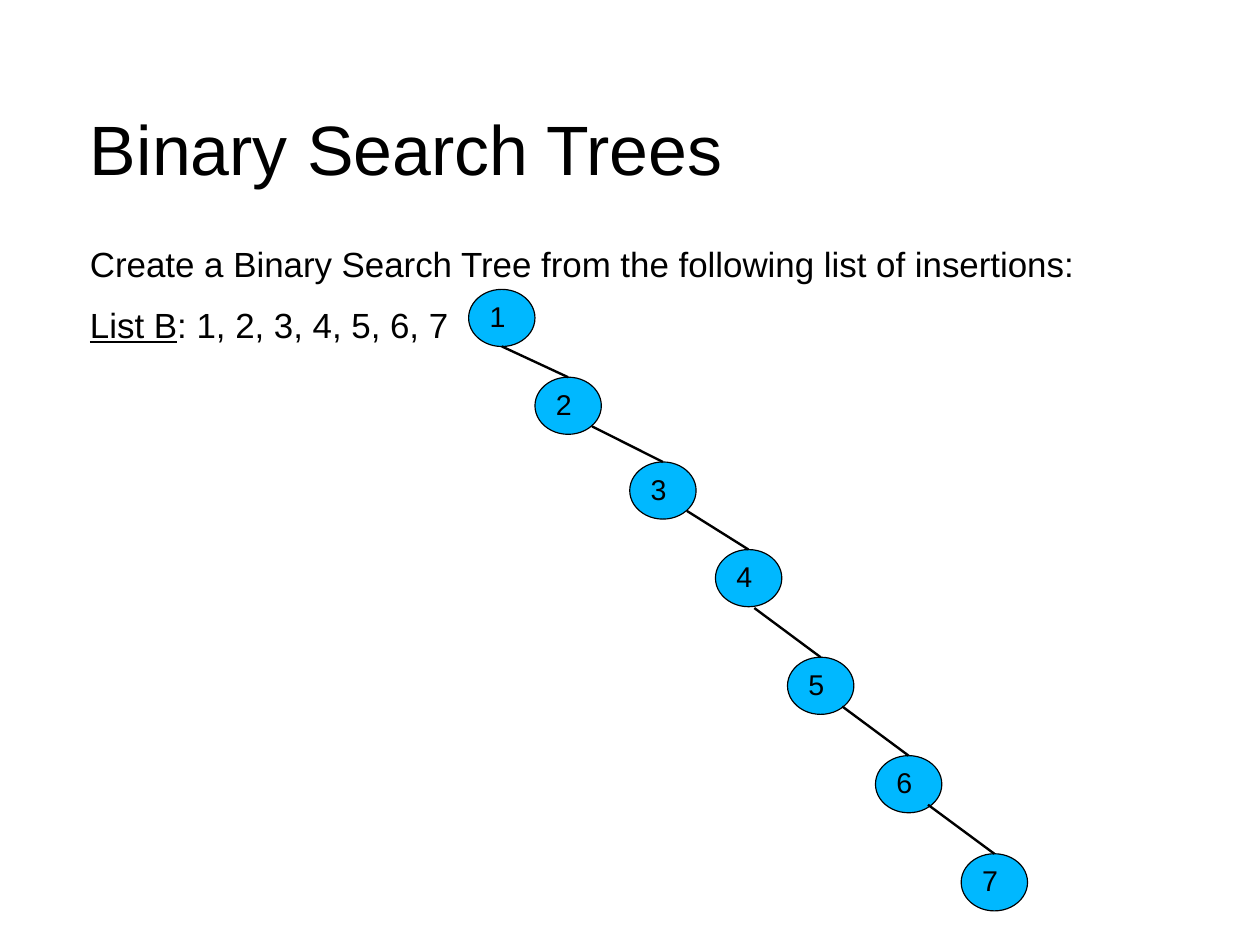
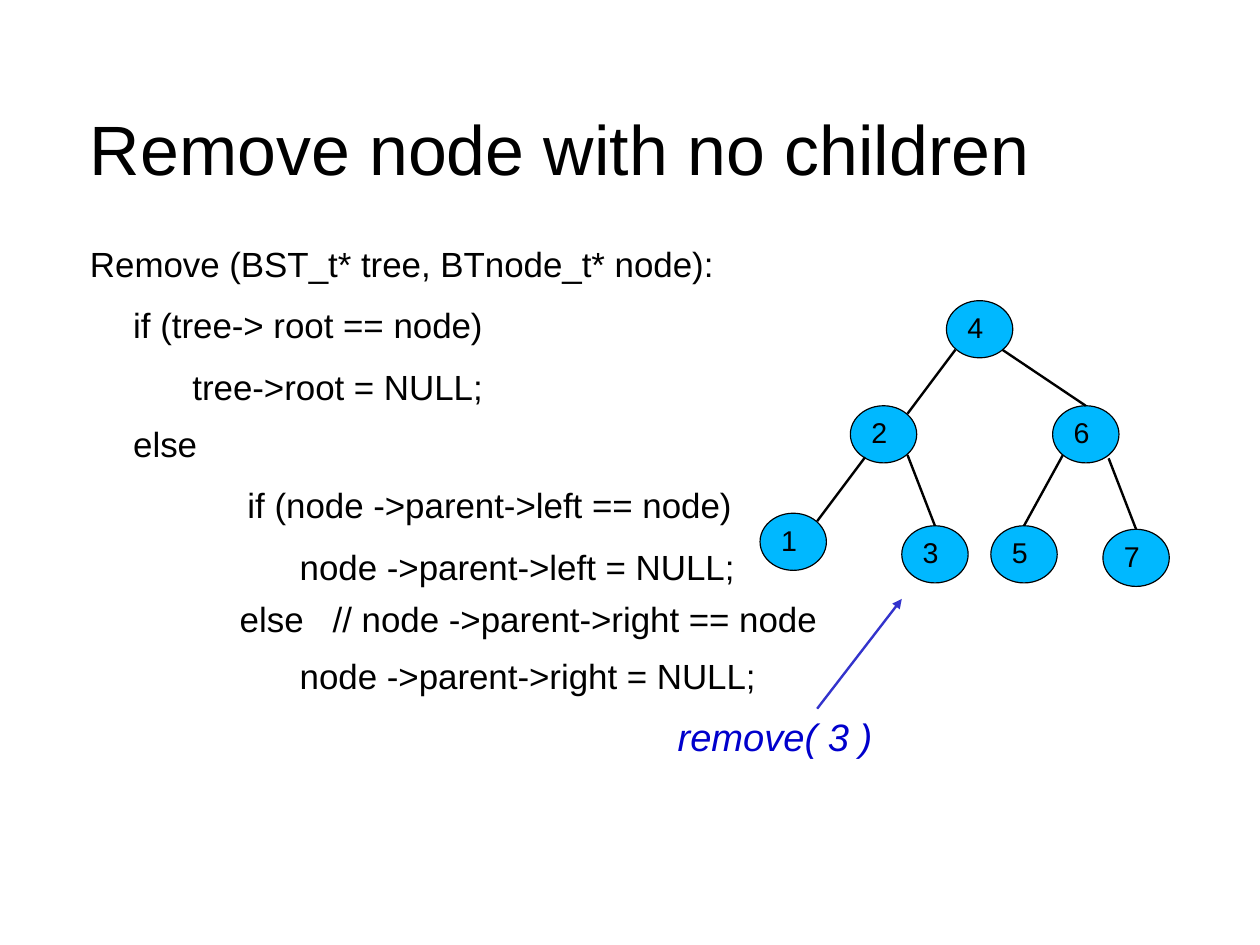
import pptx
import pptx.util
import pptx.dml.color
import pptx.enum.shapes
import pptx.enum.text
import pptx.oxml.ns
from lxml import etree

Pt = pptx.util.Pt
RGB = pptx.dml.color.RGBColor.from_string
MIDDLE = pptx.enum.text.MSO_ANCHOR.MIDDLE
TOP = pptx.enum.text.MSO_ANCHOR.TOP
qn = pptx.oxml.ns.qn

COLORS = {"text": "000000", "node": "00B8FF", "edge": "000000",
          "arrow": "3333CC", "call": "0000CC"}
FONT = "Arial"
NODE_W, NODE_H = 41.8, 36
PLAIN = {}
UNDERLINED = {"u": "sng"}
WIDE = {"spc": "1220"}  # widened space before the code comment

# Each paragraph: runs as (text, style), first-line indent, space after.
# Each node: label, left, top, then its edge's start and end
# (an end of None means the top of the node).
SLIDES = [
    {
        "title": "Binary Search Trees",
        "body": [
            ([("Create a Binary Search Tree from the following list of insertions:", PLAIN)], 0, 14.2),
            ([("List B", UNDERLINED), (": 1, 2, 3, 4, 5, 6, 7", PLAIN)], 0, 14.2),
        ],
        "nodes": [
            ("1", 295.2, 182.3, None, None),
            ("2", 337, 237.6, (316.1, 218.2), None),
            ("3", 396.7, 291, (373, 268.6), None),
            ("4", 450.7, 346.2, (432.7, 321.8), None),
            ("5", 496.1, 414, (475.2, 383), None),
            ("6", 551.5, 476, (530.6, 445), None),
            ("7", 605.5, 537.8, (584.6, 506.9), None),
        ],
    },
    {
        "title": "Remove node with no children",
        "body": [
            ([("Remove (BST_t* tree, BTnode_t* node):", PLAIN)], 0, 14.2),
            ([("if (tree-> root == node)", PLAIN)], 27.2, 14.2),
            ([("tree->root = NULL;", PLAIN)], 64.5, 11.4),
            ([("else", PLAIN)], 27.2, 14.2),
            ([("if (node ->parent->left == node)", PLAIN)], 99.2, 14.2),
            ([("node ->parent->left = NULL;", PLAIN)], 132.1, 8.5),
            ([("else", PLAIN), (" ", WIDE), ("// node ->parent->right == node", PLAIN)], 94.3, 11.4),
            ([("node ->parent->right = NULL;", PLAIN)], 132.1, 8.5),
        ],
        "nodes": [
            ("4", 596.2, 189.4, None, None),
            ("2", 535.7, 255.6, (601.9, 220.3), (571.7, 260.6)),
            ("6", 663.1, 255.6, (631.4, 220.3), None),
            ("1", 478.8, 323.3, (545, 288), (514.8, 328.3)),
            ("3", 568.1, 331.2, (571.7, 286.6), None),
            ("5", 624.2, 331.2, (669.6, 286.6), None),
            ("7", 694.8, 333.4, (698.4, 288.7), None),
        ],
    },
]


def set_text(shape, paragraphs, size, color, anchor, insets=None):
    tf = shape.text_frame
    tf.word_wrap = True
    tf.vertical_anchor = anchor
    if insets:
        tf.margin_left, tf.margin_top, tf.margin_right, tf.margin_bottom = map(Pt, insets)
    for i, (runs, indent, after) in enumerate(paragraphs):
        p = tf.add_paragraph() if i else tf.paragraphs[0]
        p.alignment = pptx.enum.text.PP_ALIGN.LEFT
        p.line_spacing = 0.93
        p.space_after = Pt(after)
        p.font.size = Pt(size)
        p.font.name = FONT
        p.font.color.rgb = RGB(color)
        for text, style in runs:
            r = p.add_run()
            r.text = text
            for key, value in style.items():
                r._r.get_or_add_rPr().set(key, value)
        pPr = p._p.get_or_add_pPr()
        pPr.set("marL", "0")
        pPr.set("indent", str(Pt(indent)))
    return tf


def add_line(s, start, end, color):
    line = s.shapes.add_connector(pptx.enum.shapes.MSO_CONNECTOR.STRAIGHT,
                                  *map(Pt, start + end))
    line.line.color.rgb = RGB(color)
    line.line.width = Pt(1.5)
    etree.SubElement(line._element.spPr, qn("a:effectLst"))
    return line


prs = pptx.Presentation()
prs.slide_width, prs.slide_height = Pt(793.75), Pt(595.25)

for content in SLIDES:
    s = prs.slides.add_slide(prs.slide_layouts[6])

    # Title and body
    sp = s.shapes.add_textbox(Pt(56.7), Pt(45), Pt(666), Pt(98.6))
    set_text(sp, [([(content["title"], PLAIN)], 0, 0)], 44, COLORS["text"],
             MIDDLE, (0, 2.9, 0, 0))
    sp = s.shapes.add_textbox(Pt(56.7), Pt(153.5), Pt(697), Pt(378.7))
    set_text(sp, content["body"], 22, COLORS["text"], TOP, (0, 1.4, 0, 0))

    # Tree nodes, each with the edge from its parent
    for label, left, top, start, end in content["nodes"]:
        sp = s.shapes.add_shape(pptx.enum.shapes.MSO_SHAPE.OVAL,
                                Pt(left), Pt(top), Pt(NODE_W), Pt(NODE_H))
        sp.shadow.inherit = False
        sp.fill.solid()
        sp.fill.fore_color.rgb = RGB(COLORS["node"])
        sp.line.color.rgb = RGB(COLORS["edge"])
        sp.line.width = Pt(0.75)
        set_text(sp, [([(label, PLAIN)], 0, 0)], 18, COLORS["text"], MIDDLE)
        if start:
            edge = add_line(s, start, end or (left + NODE_W / 2, top), COLORS["edge"])
            if end is None:
                edge.end_connect(sp, 0)

# Arrow and call pointing at the node to remove
arrow = add_line(s, (514.8, 446.4), (568.1, 377.3), COLORS["arrow"])
etree.SubElement(arrow.line._get_or_add_ln(), qn("a:tailEnd"), type="triangle")
sp = s.shapes.add_textbox(Pt(419.8), Pt(448.3), Pt(160.6), Pt(34.6))
tf = set_text(sp, [([("remove( 3 )", PLAIN)], 0, 0)], 24, COLORS["call"], TOP)
tf.paragraphs[0].font.italic = True

prs.save("out.pptx")
